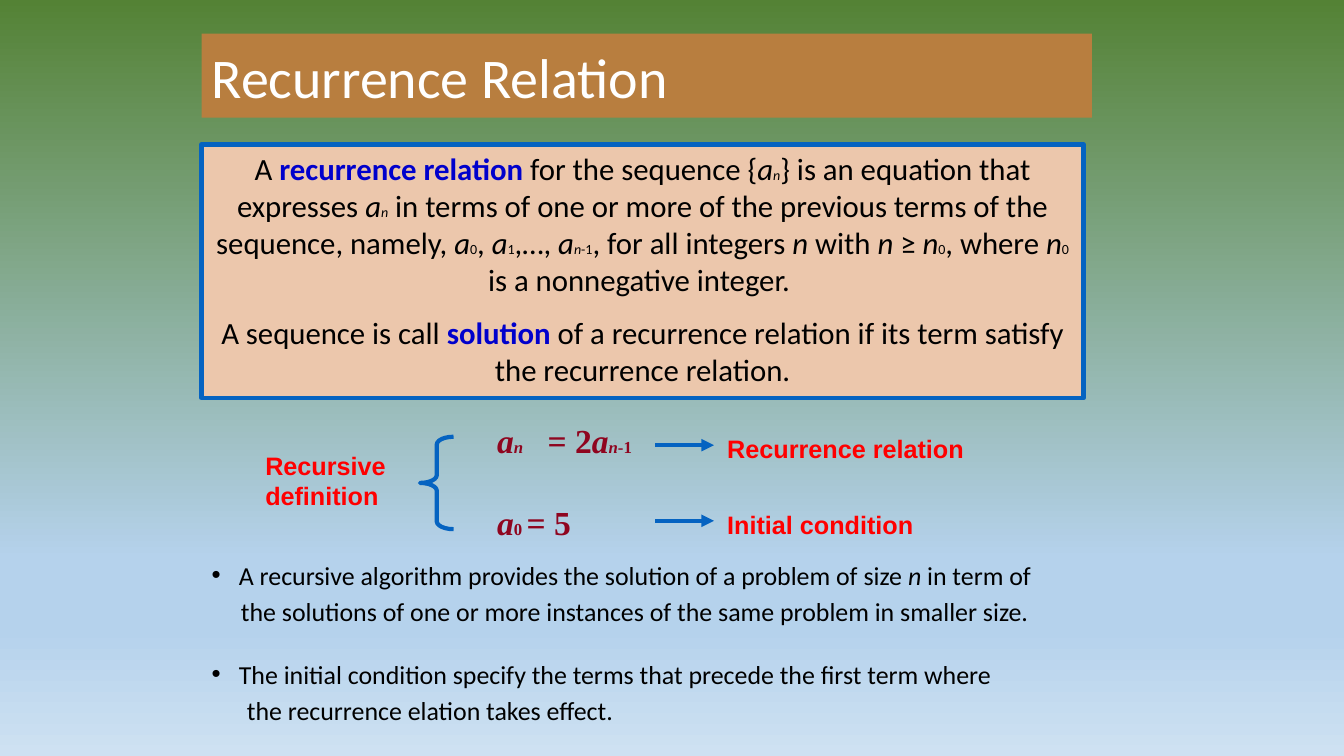
from dataclasses import dataclass
from typing import Optional

from lxml import etree
from pptx import Presentation, util as u
from pptx.dml.color import RGBColor
from pptx.enum import dml, shapes, text
from pptx.oxml import ns


@dataclass(frozen=True)
class Theme:
    sky: tuple = ((0, "548235"), (74, "B5D2EC"), (83, "B5D2EC"), (100, "CEE1F2"))
    banner: str = "B87E3F"
    panel: str = "ECC7AC"
    line: str = "0563C1"
    white: str = "FFFFFF"
    ink: str = "000000"
    key: str = "0000CC"
    formula: str = "8F051F"
    label: str = "FF0000"
    title_size: float = 40
    panel_size: float = 22
    panel_index: float = 10
    formula_size: float = 24
    formula_index: float = 12
    label_size: float = 18
    body_size: float = 18.5
    line_width: float = 3


THEME = Theme()
COLUMNS, ROWS = 160, 90
CELL = u.Inches(1 / 12)


@dataclass(frozen=True)
class Area:
    """A place on the grid, in columns and rows."""
    column: float
    row: float
    width: float
    height: float

    def emu(self) -> list:
        return [cells(n) for n in (self.column, self.row, self.width, self.height)]


@dataclass(frozen=True)
class Style:
    font: str
    size: float
    color: str
    index_size: float = 0
    bold: bool = False


@dataclass(frozen=True)
class Span:
    text: str
    italic: bool = False
    index: bool = False
    key: bool = False


@dataclass(frozen=True)
class Para:
    spans: list
    before: float = 0
    margin: float = 0
    bullet: bool = False


@dataclass(frozen=True)
class Label:
    lines: tuple
    area: Area


TITLE = Style("Calibri", THEME.title_size, THEME.white)
PANEL = Style("Calibri", THEME.panel_size, THEME.ink, THEME.panel_index)
BODY = Style("Calibri", THEME.body_size, THEME.ink)
FORMULA = Style("Times New Roman", THEME.formula_size, THEME.formula,
                THEME.formula_index, bold=True)
LABEL = Style("Arial", THEME.label_size, THEME.label, bold=True)


def cells(count: float) -> int:
    return round(count * CELL)


def term(letter: str, variable: str = "", number: str = "") -> list:
    """An italic letter with a small index."""
    parts = [Span(letter, italic=True), Span(variable, italic=True, index=True),
             Span(number, index=True)]
    return [part for part in parts if part.text]


DEFINITION = [
    Para([Span("A "), Span("recurrence relation", key=True),
          Span(" for the sequence {"), *term("a", "n"),
          Span("} is an equation that expresses "), *term("a", "n"),
          Span(" in terms of one or more of the previous terms of the sequence, namely, "),
          *term("a", number="0"), Span(", "), *term("a", number="1"), Span(",…, "),
          *term("a", "n", "-1"), Span(", for all integers "), *term("n"),
          Span(" with "), *term("n"), Span(" ≥ "), *term("n", number="0"),
          Span(", where "), *term("n", number="0"),
          Span(" is a nonnegative integer. ")]),
    Para([Span("A sequence is call "), Span("solution", key=True),
          Span(" of a recurrence relation if its term satisfy the recurrence relation.")],
         before=12),
]
EQUATIONS = [
    Para([*term("a", "n"), Span("\t= 2"), *term("a", "n", "-1")]),
    Para([*term("a", number="0 "), Span("= 5")], before=30),
]
REMARKS = [
    Para([Span("A recursive algorithm provides the solution of a problem of size "),
          *term("n"), Span(" in term of")], margin=0.27, bullet=True),
    Para([Span("the solutions of one or more instances of the same problem in smaller size.")],
         before=10, margin=0.29),
    Para([Span("The initial condition specify the terms that precede the first term where")],
         before=30, margin=0.27, bullet=True),
    Para([Span("the recurrence elation takes effect.")], before=10, margin=0.35),
]
LABELS = [
    Label(("Recursive", "definition"), Area(30.4, 53, 18, 8.4)),
    Label(("Recurrence relation",), Area(85.4, 51, 31.2, 4.8)),
    Label(("Initial condition",), Area(85.4, 60, 31.2, 4.8)),
]
ARROW_ROWS = (53, 62)


def write(box, paras: list, style: Style, align=text.PP_ALIGN.LEFT,
          anchor=text.MSO_ANCHOR.TOP, spacing: float = 1,
          tab: Optional[float] = None) -> None:
    frame = box.text_frame
    frame.word_wrap = True
    frame.auto_size = text.MSO_AUTO_SIZE.NONE
    frame.vertical_anchor = anchor
    for number, item in enumerate(paras):
        para = frame.paragraphs[0] if number == 0 else frame.add_paragraph()
        para.alignment = align
        para.line_spacing = spacing
        para.space_before = u.Pt(item.before)
        props = para._p.get_or_add_pPr()
        margin = u.Inches(item.margin)
        props.set("marL", str(margin))
        props.set("indent", str(-margin if item.bullet else 0))
        if item.bullet:
            etree.SubElement(props, ns.qn("a:buFont"), typeface="Arial")
            etree.SubElement(props, ns.qn("a:buChar"), char="•")
        else:
            etree.SubElement(props, ns.qn("a:buNone"))
        if tab is not None:
            stops = etree.SubElement(props, ns.qn("a:tabLst"))
            etree.SubElement(stops, ns.qn("a:tab"), pos=str(u.Inches(tab)), algn="l")
        for span in item.spans:
            run = para.add_run()
            run.text = span.text
            font = run.font
            font.name = style.font
            font.size = u.Pt(style.index_size if span.index else style.size)
            font.bold = style.bold or span.key
            font.italic = span.italic
            font.color.rgb = RGBColor.from_string(THEME.key if span.key else style.color)


def place(box, area: Area) -> None:
    box.left, box.top, box.width, box.height = area.emu()


def paint(box, color: str) -> None:
    box.fill.solid()
    box.fill.fore_color.rgb = RGBColor.from_string(color)


def outline(item) -> None:
    item.line.color.rgb = RGBColor.from_string(THEME.line)
    item.line.width = u.Pt(THEME.line_width)


def paint_sky(page) -> None:
    fill = page.background.fill
    fill.gradient()
    fill.gradient_angle = 270
    stops = page.element.find(".//" + ns.qn("a:gsLst"))
    for stop in list(stops):
        stops.remove(stop)
    for share, color in THEME.sky:
        stop = etree.SubElement(stops, ns.qn("a:gs"), pos=str(share * 1000))
        etree.SubElement(stop, ns.qn("a:srgbClr"), val=color)


def add_shape(page, kind, area: Area):
    shape = page.shapes.add_shape(kind, *area.emu())
    shape.shadow.inherit = False
    outline(shape)
    return shape


def add_arrow(page, row: float) -> None:
    arrow = page.shapes.add_connector(shapes.MSO_CONNECTOR.STRAIGHT, cells(78),
                                      cells(row), cells(85), cells(row))
    outline(arrow)
    etree.SubElement(arrow.line._get_or_add_ln(), ns.qn("a:tailEnd"), type="triangle")
    etree.SubElement(arrow._element.spPr, ns.qn("a:effectLst"))


def main() -> None:
    deck = Presentation()
    deck.slide_width, deck.slide_height = cells(COLUMNS), cells(ROWS)
    page = deck.slides.add_slide(deck.slide_layouts[1])
    paint_sky(page)

    title, body = page.shapes.title, page.placeholders[1]
    place(title, Area(24, 4, 106, 10))
    paint(title, THEME.banner)
    write(title, [Para([Span("Recurrence Relation")])], TITLE,
          anchor=text.MSO_ANCHOR.MIDDLE)
    place(body, Area(24, 67, 109, 21))
    write(body, REMARKS, BODY, spacing=0.7)

    panel = add_shape(page, shapes.MSO_SHAPE.RECTANGLE, Area(24, 17.2, 105, 30.2))
    paint(panel, THEME.panel)
    write(panel, DEFINITION, PANEL, align=text.PP_ALIGN.CENTER)

    equations = page.shapes.add_textbox(*Area(58, 49.4, 20, 15.7).emu())
    write(equations, EQUATIONS, FORMULA, tab=0.43)
    for label in LABELS:
        box = page.shapes.add_textbox(*label.area.emu())
        write(box, [Para([Span(line)]) for line in label.lines], LABEL)

    brace = add_shape(page, shapes.MSO_SHAPE.LEFT_BRACE, Area(50, 52, 4, 11))
    brace.adjustments[0] = 0.23
    brace.fill.background()
    for row in ARROW_ROWS:
        add_arrow(page, row)
    deck.save("out.pptx")


if __name__ == "__main__":
    main()
